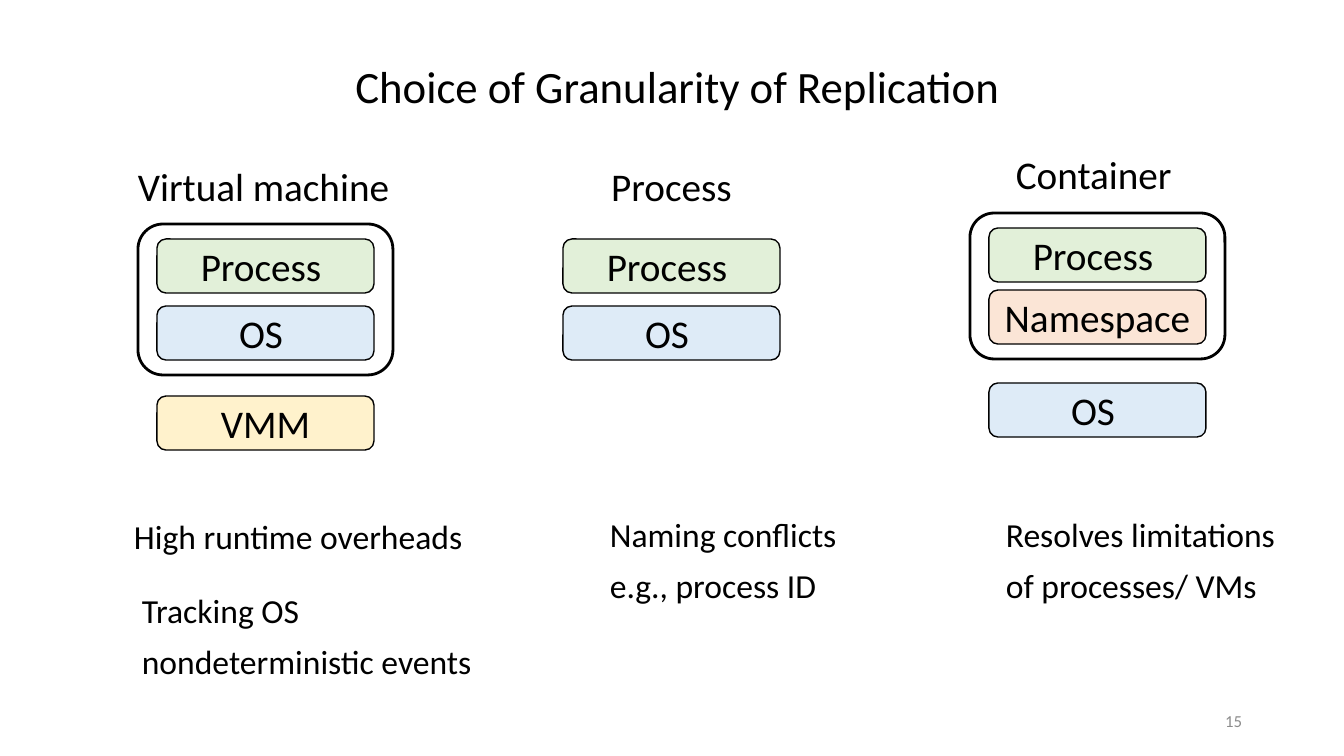
from pptx import Presentation
from pptx import util as u
from pptx.dml.color import RGBColor
from pptx.enum import shapes, text

# Content: places are left, top, width, height in px
TITLE = (" Choice of Granularity of Replication", (93, 16, 1159, 146))
NUMBER = ("15", (950, 701, 302, 40))
COLUMNS = [
    dict(left=157, head="Virtual machine", place=(128, 157, 276, 57), align="left",
         boxes=[("Process ", 239), ("OS ", 306), ("VMM", 396)], framed=2),
    dict(left=563, head="Process", place=(548, 157, 247, 57), align="center",
         boxes=[("Process ", 239), ("OS ", 306)], framed=0),
    dict(left=989, head="Container", place=(1006, 145, 181, 57), align="left",
         boxes=[("Process ", 228), ("Namespace ", 290), ("OS ", 383)], framed=2),
]
NOTES = [
    (["High runtime overheads"], (124, 515, 410, 61)),
    (["Tracking OS", "nondeterministic events"], (132, 590, 364, 105)),
    (["Naming conflicts", "e.g., process ID"], (600, 514, 260, 105)),
    (["Resolves limitations", "of processes/ VMs"], (996, 514, 296, 105)),
]

THEME = dict(
    font="Calibri", ink="000000", gray="8C8C8C",
    title=32, head=28, note=24, number=12,
    fills={"Process": "E2F0D9", "OS": "DEEBF7", "VMM": "FFF2CC", "Namespace": "FBE5D6"},
)
ALIGN = dict(left=text.PP_ALIGN.LEFT, center=text.PP_ALIGN.CENTER, right=text.PP_ALIGN.RIGHT)
BOX_W, BOX_H = 217, 54
PAD_X, PAD_Y = 19, 15
PX = 914400 / 100.8


def emu(px):
    return u.Emu(round(px * PX))


def write(shape, lines, size, align="left", color=THEME["ink"], middle=False, tight=False):
    frame = shape.text_frame
    frame.word_wrap = True
    frame.vertical_anchor = text.MSO_ANCHOR.MIDDLE if middle else text.MSO_ANCHOR.TOP
    for i, line in enumerate(lines):
        para = frame.add_paragraph() if i else frame.paragraphs[0]
        para.alignment = ALIGN[align]
        if tight:
            para.line_spacing = 0.9
        if i:
            para.space_before = u.Pt(10)
        run = para.add_run()
        run.text = line
        run.font.name = THEME["font"]
        run.font.size = u.Pt(size)
        run.font.color.rgb = RGBColor.from_string(color)


def label(slide, lines, place, size, **style):
    write(slide.shapes.add_textbox(*map(emu, place)), lines, size, **style)


def panel(slide, place, width, fill=None):
    shape = slide.shapes.add_shape(shapes.MSO_SHAPE.ROUNDED_RECTANGLE, *map(emu, place))
    shape.shadow.inherit = False
    if fill:
        shape.fill.solid()
        shape.fill.fore_color.rgb = RGBColor.from_string(fill)
    else:
        shape.fill.background()
    shape.line.color.rgb = RGBColor.from_string(THEME["ink"])
    shape.line.width = u.Pt(width)
    return shape


def stack(slide, col):
    # Frame around the replicated layers
    if col["framed"]:
        top = col["boxes"][0][1]
        end = col["boxes"][col["framed"] - 1][1] + BOX_H
        panel(slide, (col["left"] - PAD_X, top - PAD_Y,
                      BOX_W + 2 * PAD_X, end - top + 2 * PAD_Y), 2)
    # Layers
    for name, top in col["boxes"]:
        box = panel(slide, (col["left"], top, BOX_W, BOX_H), 1, THEME["fills"][name.strip()])
        write(box, [name], THEME["head"], align="center", middle=True)
    # Heading
    label(slide, [col["head"]], col["place"], THEME["head"], align=col["align"])


def main():
    deck = Presentation()
    deck.slide_width, deck.slide_height = emu(1344), emu(756)
    slide = deck.slides.add_slide(deck.slide_layouts[6])
    # Title and slide number
    label(slide, [TITLE[0]], TITLE[1], THEME["title"], align="center", middle=True, tight=True)
    label(slide, [NUMBER[0]], NUMBER[1], THEME["number"], align="right",
          color=THEME["gray"], middle=True)
    # Stacks and the notes under them
    for col in COLUMNS:
        stack(slide, col)
    for lines, place in NOTES:
        label(slide, lines, place, THEME["note"], tight=True)
    deck.save("out.pptx")


if __name__ == "__main__":
    main()
